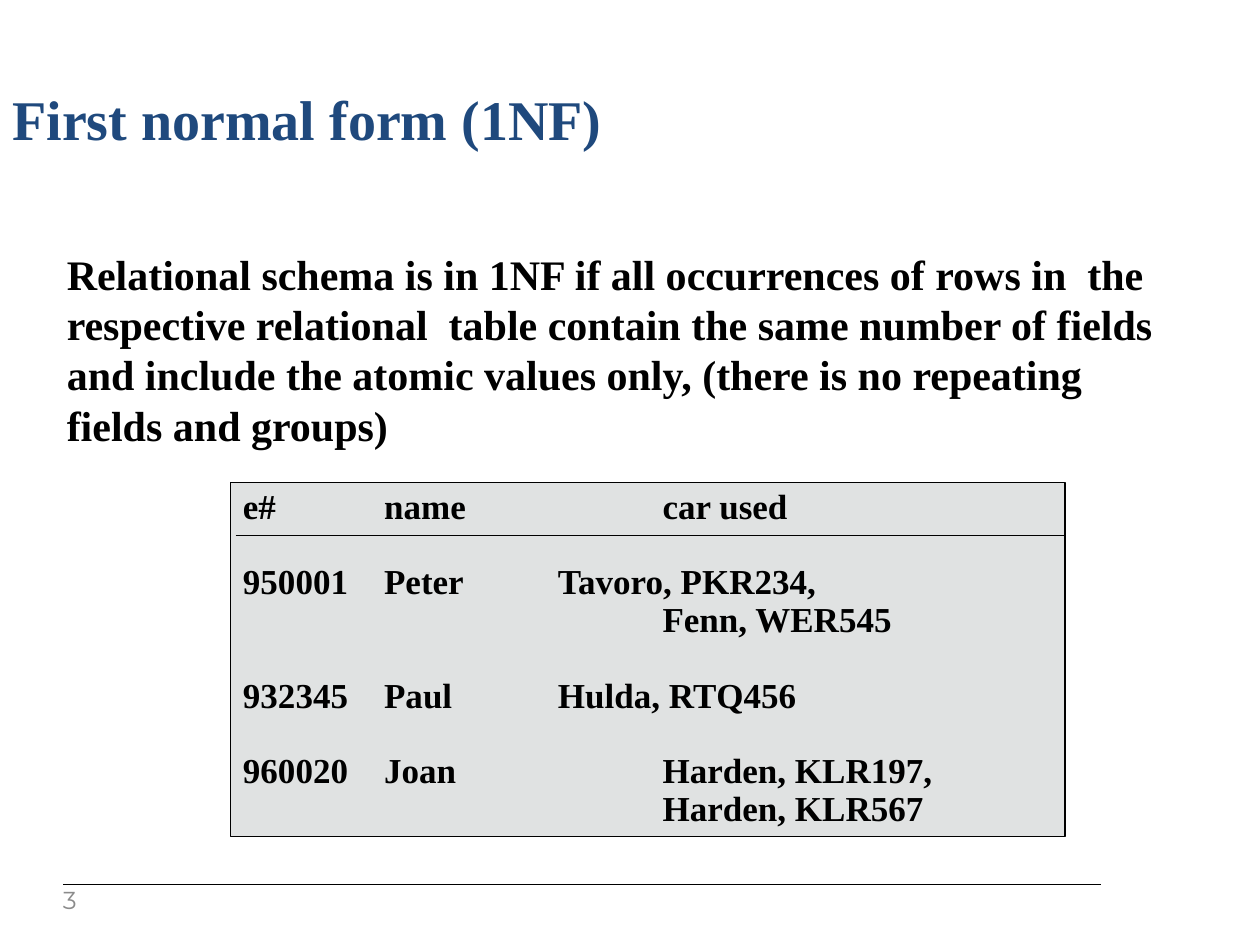
from lxml.etree import SubElement
from pptx import Presentation
from pptx.dml.color import RGBColor
from pptx.enum.shapes import MSO_CONNECTOR as CONN, MSO_SHAPE as SHAPE
from pptx.enum.text import MSO_ANCHOR as ANCHOR, MSO_AUTO_SIZE as AUTO, PP_ALIGN as ALIGN
from pptx.oxml.ns import qn
from pptx.util import Inches, Pt

SERIF, SANS = "Times New Roman", "Montserrat"
BLACK, NAVY, GREY, PANEL = "000000", "1F497D", "8B8B8B", "E0E2E2"
NAME_STOP, CAR_STOP, FAR_CAR_STOP = 1.12, 2.5, 3.33
ROW_GAP = 21.6
ROWS = [
    ("e#\tname\tcar used", FAR_CAR_STOP, 0),
    ("950001\tPeter\tTavoro, PKR234,", CAR_STOP, ROW_GAP),
    ("\t\tFenn, WER545", FAR_CAR_STOP, 0),
    ("932345\tPaul\tHulda, RTQ456", CAR_STOP, ROW_GAP),
    ("960020\tJoan\tHarden, KLR197,", FAR_CAR_STOP, ROW_GAP),
    ("\t\tHarden, KLR567", FAR_CAR_STOP, 0),
]


def rgb(value):
    return RGBColor.from_string(value)


class SlideBuilder:
    """Draws styled text, panels and rules on one slide."""

    def __init__(self, slide):
        self.shapes = slide.shapes

    def style(self, p, size, color=BLACK, font=SERIF, bold=True):
        p.font.size, p.font.name, p.font.bold = Pt(size), font, bold
        p.font.color.rgb = rgb(color)

    def text(self, text, box, size, insets=(0.1, 0.05, 0.1, 0.05),
             anchor=ANCHOR.TOP, **style):
        tf = self.shapes.add_textbox(*map(Inches, box)).text_frame
        tf.word_wrap, tf.vertical_anchor = True, anchor
        tf.margin_left, tf.margin_top, tf.margin_right, tf.margin_bottom = map(Inches, insets)
        p = tf.paragraphs[0]
        p.text = text
        self.style(p, size, **style)

    def panel(self, rows, box, size):
        sp = self.shapes.add_shape(SHAPE.RECTANGLE, *map(Inches, box))
        sp.shadow.inherit = False
        sp.fill.solid()
        sp.fill.fore_color.rgb = rgb(PANEL)
        sp.line.color.rgb, sp.line.width = rgb(BLACK), Pt(1)
        tf = sp.text_frame
        tf.word_wrap, tf.vertical_anchor = True, ANCHOR.TOP
        tf.auto_size = AUTO.SHAPE_TO_FIT_TEXT
        for i, (text, car_stop, gap) in enumerate(rows):
            p = tf.add_paragraph() if i else tf.paragraphs[0]
            p.text = text
            p.alignment, p.line_spacing = ALIGN.LEFT, 0.9
            if gap:
                p.space_before = Pt(gap)
            tabs = SubElement(p._p.get_or_add_pPr(), qn("a:tabLst"))
            for stop in (NAME_STOP, car_stop):
                SubElement(tabs, qn("a:tab"), pos=str(Inches(stop)), algn="l")
            self.style(p, size)

    def rule(self, x1, x2, y):
        line = self.shapes.add_connector(CONN.STRAIGHT, *map(Inches, (x1, y, x2, y)))
        line.line.color.rgb, line.line.width = rgb(BLACK), Pt(0.75)
        SubElement(line._element.spPr, qn("a:effectLst"))


def main():
    prs = Presentation()
    prs.slide_width, prs.slide_height = Inches(10), Inches(7.5)
    s = SlideBuilder(prs.slides.add_slide(prs.slide_layouts[6]))
    s.rule(0.5, 8.74, 7.02)
    s.text("Relational schema is in 1NF if all occurrences of rows in  the respective "
           "relational  table contain the same number of fields and include the atomic "
           "values only, (there is no repeating fields and groups)",
           (0.33, 1.92, 9.22, 1.72), 24, insets=(0.2, 0.05, 0.2, 0.05))
    s.panel(ROWS, (1.83, 3.83, 6.62, 2.81), 20)
    s.rule(1.87, 8.45, 4.25)
    s.text("First normal form (1NF)", (0, 0.62, 10, 0.67), 32, color=NAVY)
    s.text("3", (0.5, 7.06, 0.4, 0.21), 14, insets=(0, 0, 0.1, 0.05),
           anchor=ANCHOR.MIDDLE, color=GREY, font=SANS, bold=False)
    prs.save("out.pptx")


if __name__ == "__main__":
    main()
